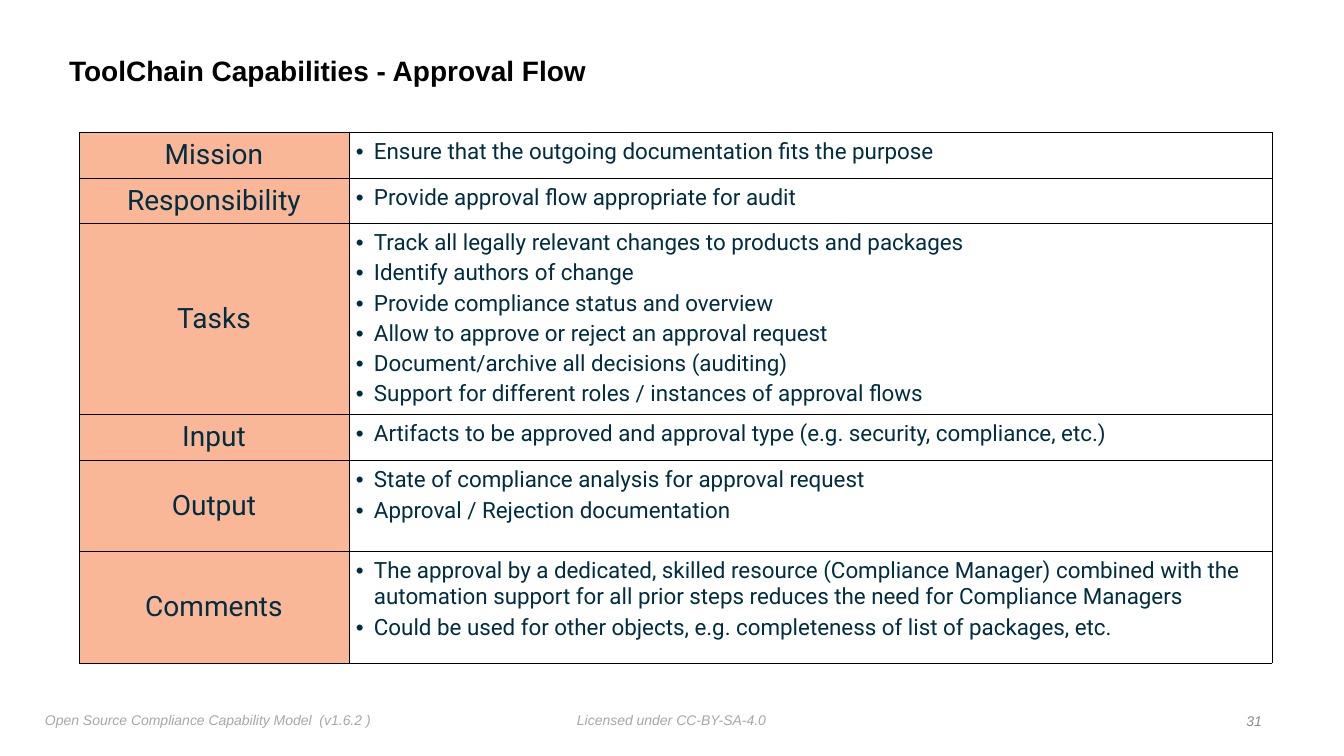
from lxml.etree import SubElement
from pptx import Presentation
from pptx.dml.color import RGBColor
from pptx.enum.text import MSO_ANCHOR as Anchor, MSO_AUTO_SIZE as AutoSize, PP_ALIGN as Align
from pptx.oxml.ns import qn
from pptx.util import Emu, Pt

BLACK = RGBColor(0x00, 0x00, 0x00)
NAVY = RGBColor(0x00, 0x2D, 0x41)
PEACH = RGBColor(0xFA, 0xB7, 0x98)
FOOTER_GRAY = RGBColor(0xA7, 0xA7, 0xA7)
NUMBER_GRAY = RGBColor(0x88, 0x8C, 0x91)

CAPABILITIES = [
    ("Mission", 46, ["Ensure that the outgoing documentation fits the purpose"]),
    ("Responsibility", 45, ["Provide approval flow appropriate for audit"]),
    ("Tasks", 191, [
        "Track all legally relevant changes to products and packages",
        "Identify authors of change",
        "Provide compliance status and overview",
        "Allow to approve or reject an approval request",
        "Document/archive all decisions (auditing)",
        "Support for different roles / instances of approval flows",
    ]),
    ("Input", 46, ["Artifacts to be approved and approval type (e.g. security, compliance, etc.)"]),
    ("Output", 91, [
        "State of compliance analysis for approval request",
        "Approval / Rejection documentation",
    ]),
    ("Comments", 112, [
        "The approval by a dedicated, skilled resource (Compliance Manager) combined with the "
        "automation support for all prior steps reduces the need for Compliance Managers",
        "Could be used for other objects, e.g. completeness of list of packages, etc.",
    ]),
]
COLUMN_WIDTHS = [270, 923]
FOOTERS = [
    ("Licensed under CC-BY-SA-4.0", 572, 707, 201, Align.LEFT, FOOTER_GRAY),
    ("Open Source Compliance Capability Model  (v1.6.2 )", 40, 707, 344, Align.LEFT, FOOTER_GRAY),
    ("31", 1240, 708, 27, Align.RIGHT, NUMBER_GRAY),
]


def px(length):
    """Turn slide pixels (100.8 to the inch) into EMU."""
    return Emu(round(length * 914400 / 100.8))


def add_span(para, text, font, size, color, bold=False, italic=False):
    span = para.add_run()
    span.text = text
    span.font.name = font
    span.font.size = Pt(size)
    span.font.color.rgb = color
    span.font.bold = bold
    span.font.italic = italic


deck = Presentation()
deck.slide_width, deck.slide_height = px(1344), px(756)
page = deck.slides.add_slide(deck.slide_layouts[5])

# Title
title = page.shapes.title
title.left, title.top, title.width, title.height = px(64), px(39), px(1084), px(66)
frame = title.text_frame
frame.margin_left = frame.margin_right = frame.margin_top = frame.margin_bottom = px(5)
frame.vertical_anchor = Anchor.MIDDLE
frame.word_wrap = True
para = frame.paragraphs[0]
para.alignment = Align.LEFT
para.line_spacing = 0.9
add_span(para, "ToolChain Capabilities - Approval Flow", "Arial", 20, BLACK, bold=True)

# Capability table
total_height = sum(height for _, height, _ in CAPABILITIES)
table = page.shapes.add_table(len(CAPABILITIES), len(COLUMN_WIDTHS), px(79), px(132),
                              px(sum(COLUMN_WIDTHS)), px(total_height)).table
table.first_row = table.horz_banding = False
for column, width in zip(table.columns, COLUMN_WIDTHS):
    column.width = px(width)

for row, (label, height, points) in enumerate(CAPABILITIES):
    table.rows[row].height = px(height)
    label_cell, points_cell = table.cell(row, 0), table.cell(row, 1)

    for cell, margin in ((label_cell, 0), (points_cell, 7)):
        cell.margin_left = cell.margin_right = cell.margin_top = cell.margin_bottom = px(margin)
        properties = cell._tc.get_or_add_tcPr()
        for side in ("a:lnL", "a:lnR", "a:lnT", "a:lnB"):
            line = SubElement(properties, qn(side), w=str(Pt(0.5)))
            line_fill = SubElement(line, qn("a:solidFill"))
            SubElement(line_fill, qn("a:srgbClr"), val=str(BLACK))

    label_cell.fill.solid()
    label_cell.fill.fore_color.rgb = PEACH
    label_cell.vertical_anchor = Anchor.MIDDLE
    para = label_cell.text_frame.paragraphs[0]
    para.alignment = Align.CENTER
    add_span(para, label, "Roboto", 20, NAVY)

    points_cell.fill.background()
    points_cell.vertical_anchor = Anchor.TOP
    frame = points_cell.text_frame
    for index, point in enumerate(points):
        para = frame.add_paragraph() if index else frame.paragraphs[0]
        properties = para._p.get_or_add_pPr()
        properties.set("marL", str(px(18)))
        properties.set("indent", str(-px(18)))
        SubElement(properties, qn("a:buFont"), typeface="Arial")
        SubElement(properties, qn("a:buChar"), char="•")
        para.space_before = Pt(3 if index else 0)
        add_span(para, point, "Roboto", 16, NAVY)

# Footer line
for text, left, top, width, alignment, color in FOOTERS:
    box = page.shapes.add_textbox(px(left), px(top), px(width), px(25))
    frame = box.text_frame
    frame.margin_left = frame.margin_right = frame.margin_top = frame.margin_bottom = px(5)
    frame.word_wrap = False
    frame.auto_size = AutoSize.SHAPE_TO_FIT_TEXT
    para = frame.paragraphs[0]
    para.alignment = alignment
    add_span(para, text, "Arial", 10, color, italic=True)

deck.save("out.pptx")
